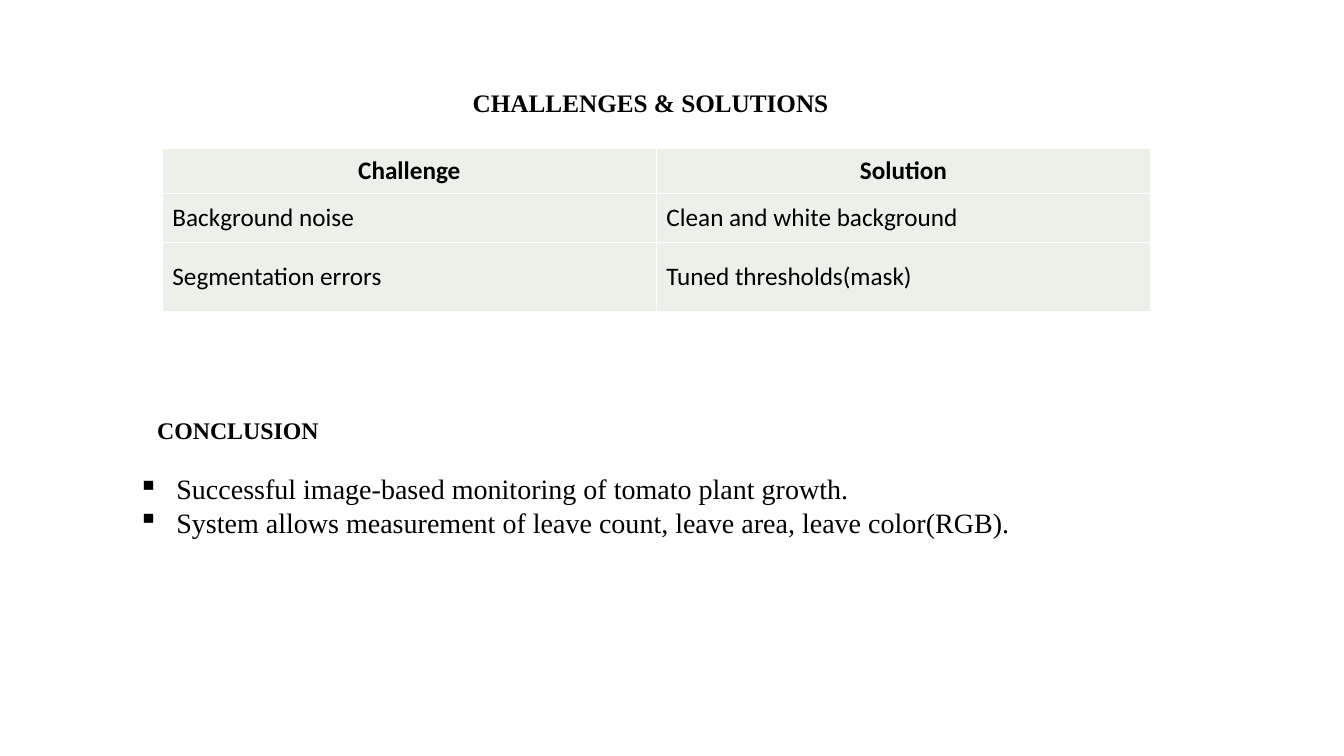
from dataclasses import dataclass
from itertools import product

from lxml.etree import SubElement
from pptx import Presentation
from pptx.dml.color import RGBColor
from pptx.enum.text import MSO_ANCHOR as Anchor, PP_ALIGN as Align
from pptx.oxml.ns import qn
from pptx.slide import Slide
from pptx.table import _Cell as Cell
from pptx.text.text import _Paragraph as Paragraph
from pptx.util import Inches, Pt

WIDTH, HEIGHT = Inches(13.33), Inches(7.5)
COLORS = {"text": "000000", "cell": "EBF1E9", "border": "FFFFFF"}
SERIF, SANS = "Times New Roman", "Calibri"
BULLET_INDENT = Inches(0.38)
BORDER_WIDTH = Pt(1)

# Table geometry, as shares of the slide's size
TABLE_LEFT, TABLE_TOP = 0.1208, 0.196
COLUMN_SHARE = 0.3676
ROW_SHARES = (0.06, 0.0653, 0.0907)
TABLE_ROWS = (
    ("Challenge", "Solution"),
    ("Background noise", "Clean and white background"),
    ("Segmentation errors", "Tuned thresholds(mask)"),
)


@dataclass
class TextBlock:
    """A text box placed by shares of the slide's width and height."""
    lines: tuple[str, ...]
    left: float
    top: float
    width: float
    height: float
    size: int
    bold: bool = False
    align: Align = Align.LEFT
    wrap: bool = True
    bulleted: bool = False


TEXT_BLOCKS = (
    TextBlock(("CHALLENGES & SOLUTIONS",), 0.2341, 0.1093, 0.5, 0.0947, 18,
              bold=True, align=Align.CENTER),
    TextBlock(("CONCLUSION",), 0.1095, 0.5427, 0.1365, 0.052, 17,
              bold=True, wrap=False),
    TextBlock(("Successful image-based monitoring of tomato plant growth.",
               "System allows measurement of leave count, leave area, "
               "leave color(RGB)."),
              0.0953, 0.6173, 0.6684, 0.1027, 20, bulleted=True),
)


def across(share: float) -> int:
    return round(WIDTH * share)


def down(share: float) -> int:
    return round(HEIGHT * share)


def format_paragraph(paragraph: Paragraph, font_name: str, size: int,
                     bold: bool, align: Align) -> None:
    paragraph.alignment = align
    for run in paragraph.runs:
        run.font.name = font_name
        run.font.size = Pt(size)
        run.font.bold = bold
        run.font.color.rgb = RGBColor.from_string(COLORS["text"])


def add_bullet(paragraph: Paragraph) -> None:
    properties = paragraph._p.get_or_add_pPr()
    properties.set("marL", str(BULLET_INDENT))
    properties.set("indent", str(-BULLET_INDENT))
    SubElement(properties, qn("a:buChar"), char="▪")


def add_text_block(slide: Slide, block: TextBlock) -> None:
    shape = slide.shapes.add_textbox(across(block.left), down(block.top),
                                     across(block.width), down(block.height))
    text_frame = shape.text_frame
    text_frame.word_wrap = block.wrap
    text_frame.text = "\n".join(block.lines)
    for paragraph in text_frame.paragraphs:
        if block.bulleted:
            add_bullet(paragraph)
        format_paragraph(paragraph, SERIF, block.size, block.bold, block.align)


def add_borders(cell: Cell) -> None:
    properties = cell._tc.get_or_add_tcPr()
    for side in ("lnL", "lnR", "lnT", "lnB"):
        line = SubElement(properties, qn(f"a:{side}"), w=str(BORDER_WIDTH))
        fill = SubElement(line, qn("a:solidFill"))
        SubElement(fill, qn("a:srgbClr"), val=COLORS["border"])


def add_challenge_table(slide: Slide) -> None:
    row_count, column_count = len(TABLE_ROWS), len(TABLE_ROWS[0])
    table = slide.shapes.add_table(
        row_count, column_count, across(TABLE_LEFT), down(TABLE_TOP),
        across(COLUMN_SHARE * column_count), down(sum(ROW_SHARES))).table
    table.first_row = table.horz_banding = False
    for row, share in zip(table.rows, ROW_SHARES):
        row.height = down(share)

    for row, column in product(range(row_count), range(column_count)):
        is_header = row == 0
        cell = table.cell(row, column)
        cell.text_frame.text = TABLE_ROWS[row][column]
        cell.vertical_anchor = Anchor.MIDDLE
        add_borders(cell)
        cell.fill.solid()
        cell.fill.fore_color.rgb = RGBColor.from_string(COLORS["cell"])
        format_paragraph(cell.text_frame.paragraphs[0], SANS, 18, is_header,
                         Align.CENTER if is_header else Align.LEFT)


def main() -> None:
    presentation = Presentation()
    presentation.slide_width, presentation.slide_height = WIDTH, HEIGHT
    slide = presentation.slides.add_slide(presentation.slide_layouts[6])

    # Challenges and their solutions
    add_challenge_table(slide)

    # Headings and conclusion
    for block in TEXT_BLOCKS:
        add_text_block(slide, block)

    presentation.save("out.pptx")


if __name__ == "__main__":
    main()
